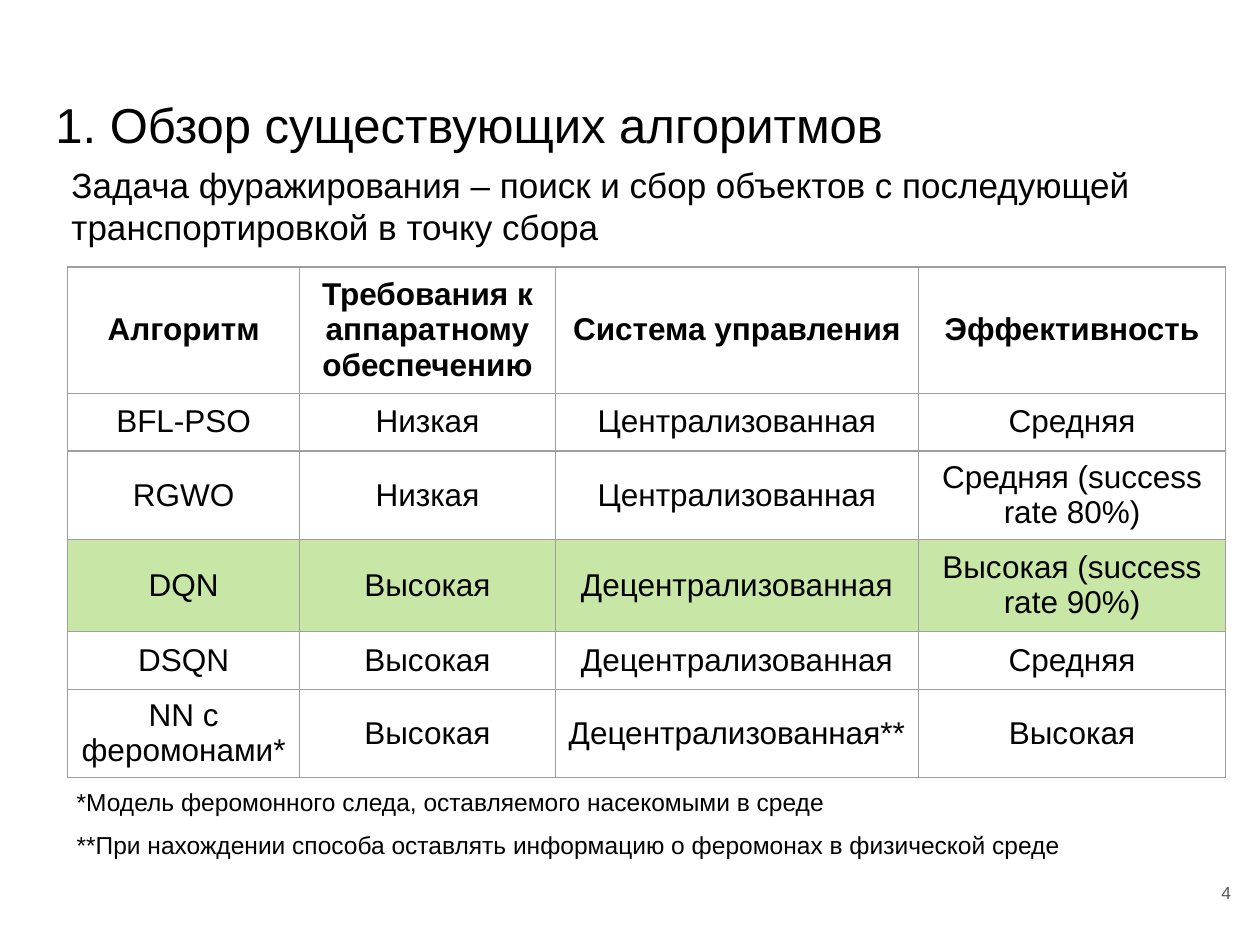
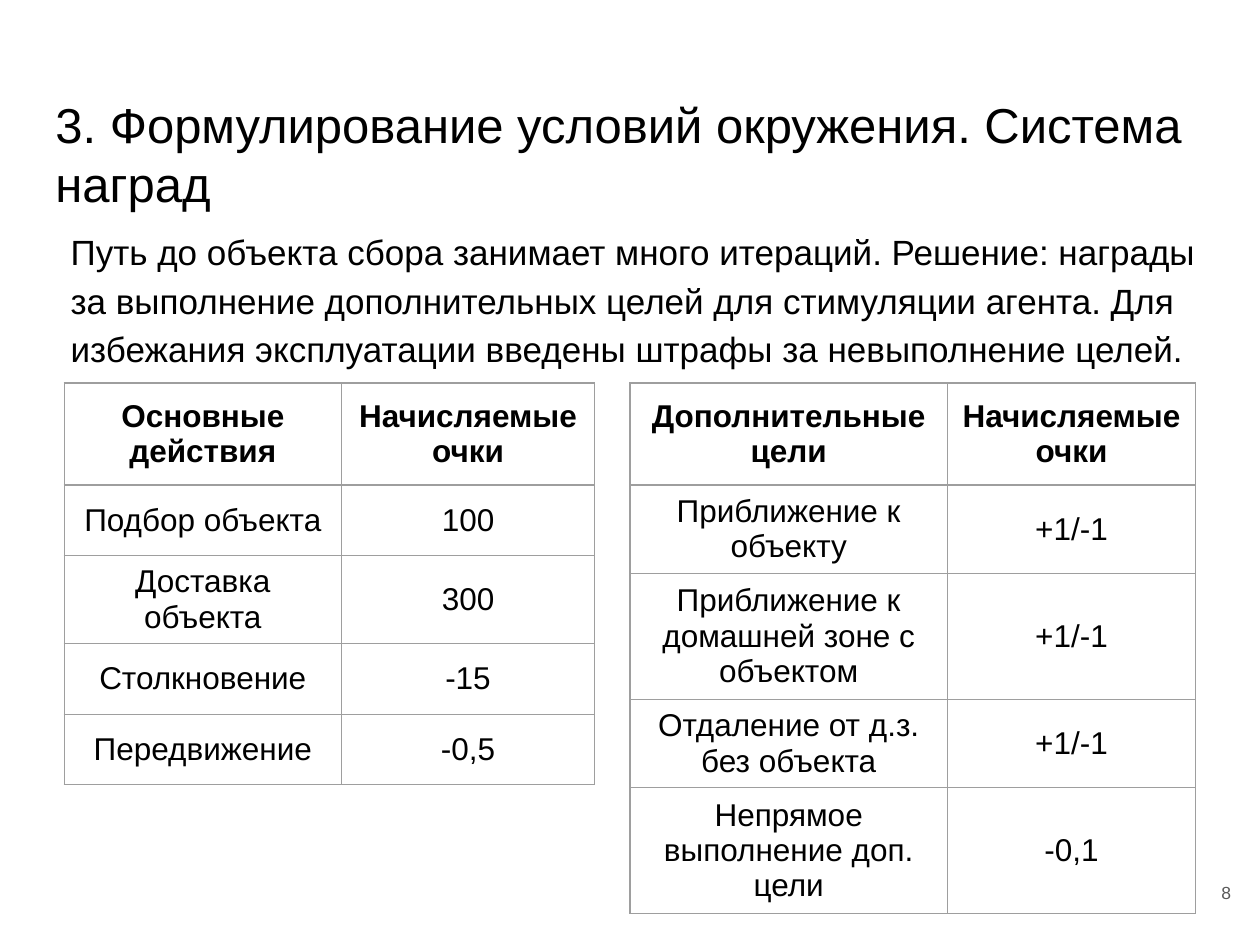
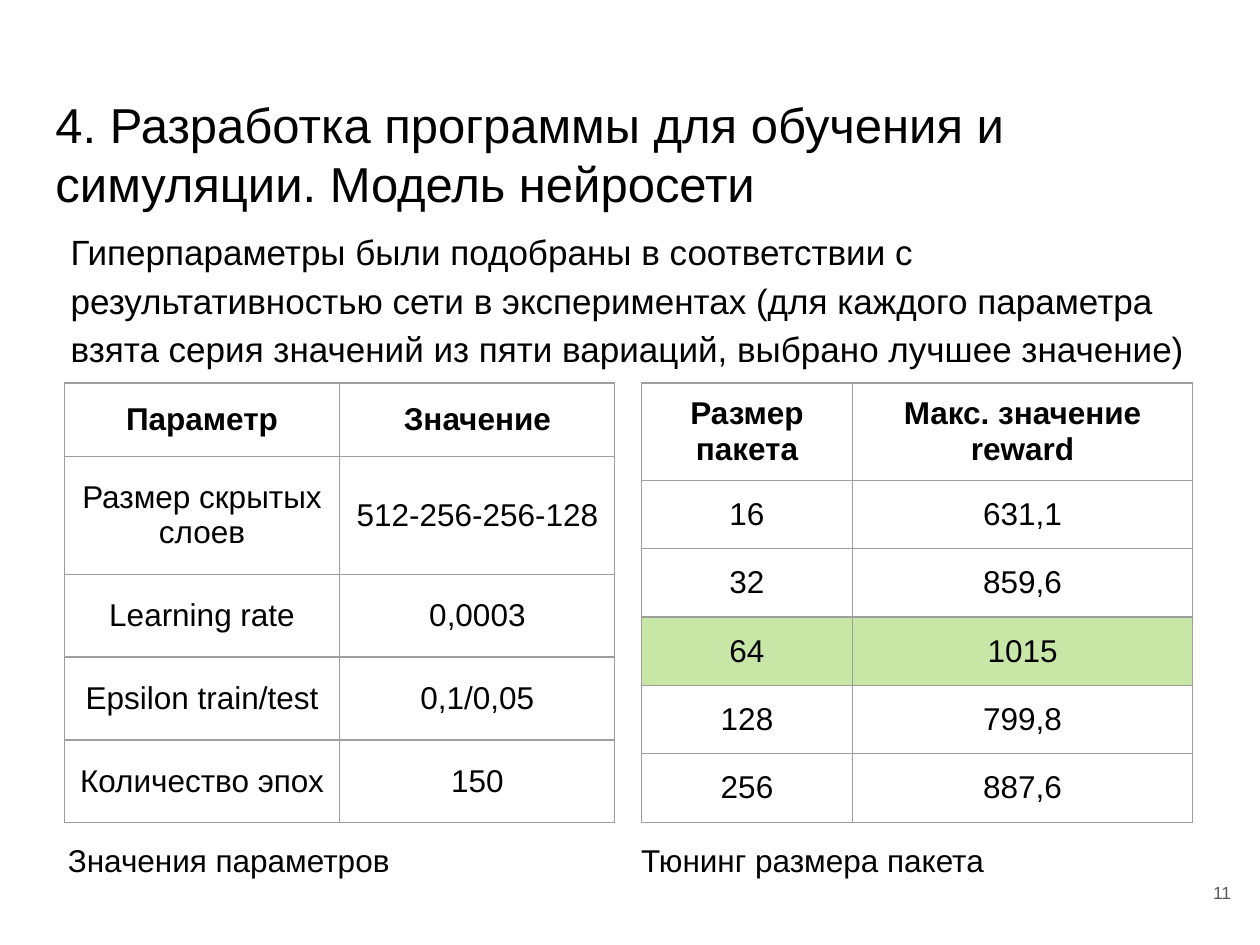
"""Builds three slides on foraging algorithms, rewards and hyperparameters."""
from lxml import etree
from pptx import Presentation
from pptx.dml import color as dml
from pptx.enum import text as t
from pptx.oxml import ns
from pptx.util import Pt

COLOURS = {"text": "000000", "number": "595959", "border": "9E9E9E", "accent": "92D050"}
FONT = "Arial"
TITLE_ONLY, TITLE_AND_BODY = 5, 1
TITLE_BOX = (24.5, 46.8, 671, 59.8)
BODY_BOX = (24.5, 121, 671, 358.6)
NUMBER_BOX = (667.4, 489.6, 43.2, 41)
TABLE_TOP = 218.9
WIDE = {"margin_left": Pt(7.2), "margin_right": Pt(7.2),
        "margin_top": Pt(7.2), "margin_bottom": Pt(7.2)}


def assign(target, values):
    """Set each named attribute of the target."""
    for name, value in values.items():
        setattr(target, name, value)


class SlideBuilder:
    """Holds the style and the current slide."""

    def __init__(self, deck):
        """Start with a deck and no page."""
        self.deck = deck
        self.page = None

    def start(self, layout, title, number):
        """Add a page with its title and number."""
        self.page = self.deck.slides.add_slide(self.deck.slide_layouts[layout])
        self.fill_placeholder(self.page.shapes.title, TITLE_BOX, title, 28)
        self.text(NUMBER_BOX, number, 10, colour="number", align=t.PP_ALIGN.RIGHT,
                  frame={**WIDE, "vertical_anchor": t.MSO_ANCHOR.MIDDLE})

    def paragraph(self, frame, words, size, colour="text", bold=False,
                  align=t.PP_ALIGN.LEFT, spacing=1.0, indent=0):
        """Put one formatted paragraph into a text frame."""
        para = frame.paragraphs[0]
        assign(para, {"alignment": align, "line_spacing": spacing,
                      "space_before": Pt(0), "space_after": Pt(0)})
        properties = para._p.get_or_add_pPr()
        properties.set("marL", str(Pt(indent)))
        properties.set("indent", "0")
        span = para.add_run()
        span.text = words
        assign(span.font, {"name": FONT, "size": Pt(size), "bold": bold})
        span.font.color.rgb = dml.RGBColor.from_string(COLOURS[colour])

    def fill_placeholder(self, box, place, words, size, **style):
        """Move a placeholder and give it plain text without a bullet."""
        assign(box, dict(zip(("left", "top", "width", "height"), map(Pt, place))))
        assign(box.text_frame, {**WIDE, "word_wrap": True,
                                "auto_size": t.MSO_AUTO_SIZE.NONE,
                                "vertical_anchor": t.MSO_ANCHOR.TOP})
        self.paragraph(box.text_frame, words, size, **style)
        properties = box.text_frame.paragraphs[0]._p.get_or_add_pPr()
        etree.SubElement(properties, ns.qn("a:buNone"))

    def body(self, words):
        """Put the introductory text in the body placeholder."""
        self.fill_placeholder(self.page.placeholders[1], BODY_BOX, words, 20,
                              spacing=1.15, indent=8.64)

    def text(self, place, words, size, frame=None, **style):
        """Add a wrapped text box."""
        box = self.page.shapes.add_textbox(*map(Pt, place))
        assign(box.text_frame, {"word_wrap": True, **(frame or {})})
        self.paragraph(box.text_frame, words, size, **style)

    def border(self, cell):
        """Draw a thin line on all four sides of a cell."""
        properties = cell._tc.get_or_add_tcPr()
        for index, side in enumerate(("lnL", "lnR", "lnT", "lnB")):
            line = etree.Element(ns.qn(f"a:{side}"), w=str(Pt(0.75)))
            fill = etree.SubElement(line, ns.qn("a:solidFill"))
            etree.SubElement(fill, ns.qn("a:srgbClr"), val=COLOURS["border"])
            properties.insert(index, line)

    def highlight(self, cell):
        """Fill a cell with the half-transparent accent colour."""
        cell.fill.solid()
        cell.fill.fore_color.rgb = dml.RGBColor.from_string(COLOURS["accent"])
        colour = cell._tc.tcPr.find(".//" + ns.qn("a:srgbClr"))
        etree.SubElement(colour, ns.qn("a:alpha"), val="50000")

    def table(self, left, top, widths, heights, rows, marked=None):
        """Add a bordered table with a bold header and an optional marked row."""
        grid = self.page.shapes.add_table(
            len(rows), len(widths), Pt(left), Pt(top),
            Pt(sum(widths)), Pt(sum(heights))).table
        assign(grid, {"first_row": False, "horz_banding": False})
        for column, width in zip(grid.columns, widths):
            column.width = Pt(width)
        for index, (height, values) in enumerate(zip(heights, rows)):
            grid.rows[index].height = Pt(height)
            for cell, words in zip(grid.rows[index].cells, values):
                cell.vertical_anchor = t.MSO_ANCHOR.MIDDLE
                self.paragraph(cell.text_frame, words, 18, bold=index == 0,
                               align=t.PP_ALIGN.CENTER)
                if index == marked:
                    self.highlight(cell)
                else:
                    cell.fill.background()
                self.border(cell)


def add_algorithms(builder):
    """Compare the existing algorithms."""
    builder.start(TITLE_ONLY, "1. Обзор существующих алгоритмов", "4")
    builder.table(38.7, 152.6, [132.5, 146.2, 207.4, 175.7],
                  [67.7, 33.1, 47.5, 52.6, 33.1, 47.5], [
        ("Алгоритм", "Требования к аппаратному обеспечению",
         "Система управления", "Эффективность"),
        ("BFL-PSO", "Низкая", "Централизованная", "Средняя"),
        ("RGWO", "Низкая", "Централизованная", "Средняя (success rate 80%)"),
        ("DQN", "Высокая", "Децентрализованная", "Высокая (success rate 90%)"),
        ("DSQN", "Высокая", "Децентрализованная", "Средняя"),
        ("NN с феромонами*", "Высокая", "Децентрализованная**", "Высокая"),
    ], marked=3)
    builder.text((33.8, 90, 652.3, 55.4), "Задача фуражирования – поиск и сбор объектов "
                 "с последующей транспортировкой в точку сбора", 20)
    notes = ("*Модель феромонного следа, оставляемого насекомыми в среде",
             "**При нахождении способа оставлять информацию о феромонах в физической среде")
    for index, note in enumerate(notes):
        builder.text((36.7, 446.4 + 24.5 * index, 652.3, 24.5), note, 14)


def add_rewards(builder):
    """Show the reward system."""
    builder.start(TITLE_AND_BODY, "3. Формулирование условий окружения. Система наград", "8")
    builder.body("Путь до объекта сбора занимает много итераций. Решение: награды за "
                 "выполнение дополнительных целей для стимуляции агента. Для избежания "
                 "эксплуатации введены штрафы за невыполнение целей.")
    heights = [58.3] + [40.3] * 4
    builder.table(36.7, TABLE_TOP, [158.4, 144.7], heights, [
        ("Основные действия", "Начисляемые очки"),
        ("Подбор объекта", "100"),
        ("Доставка объекта", "300"),
        ("Столкновение", "-15"),
        ("Передвижение", "-0,5"),
    ])
    builder.table(360, TABLE_TOP, [181.4, 141.8], heights, [
        ("Дополнительные цели", "Начисляемые очки"),
        ("Приближение к объекту", "+1/-1"),
        ("Приближение к домашней зоне с объектом", "+1/-1"),
        ("Отдаление от д.з. без объекта", "+1/-1"),
        ("Непрямое выполнение доп. цели", "-0,1"),
    ])


def add_network(builder):
    """Show the hyperparameters and the batch size tuning."""
    builder.start(TITLE_AND_BODY, "4. Разработка программы для обучения и симуляции. "
                  "Модель нейросети", "11")
    builder.body("Гиперпараметры были подобраны в соответствии с результативностью сети "
                 "в экспериментах (для каждого параметра взята серия значений из пяти "
                 "вариаций, выбрано лучшее значение)")
    builder.table(36.7, TABLE_TOP, [157.5, 157.2], [41.8, 67.4] + [47.4] * 3, [
        ("Параметр", "Значение"),
        ("Размер скрытых слоев", "512-256-256-128"),
        ("Learning rate", "0,0003"),
        ("Epsilon train/test", "0,1/0,05"),
        ("Количество эпох", "150"),
    ])
    builder.table(366.5, TABLE_TOP, [120.7, 194.3], [55.5] + [39.1] * 5, [
        ("Размер пакета", "Макс. значение reward"),
        ("16", "631,1"),
        ("32", "859,6"),
        ("64", "1015"),
        ("128", "799,8"),
        ("256", "887,6"),
    ], marked=3)
    for left, caption in ((20.9, "Значения параметров"), (348.5, "Тюнинг размера пакета")):
        builder.text((left, 470.2, 326.9, 36.7), caption, 18, frame=WIDE,
                     spacing=1.15, indent=10.8)


def main():
    """Build and save the deck."""
    deck = Presentation()
    assign(deck, {"slide_width": Pt(720), "slide_height": Pt(540)})
    builder = SlideBuilder(deck)
    for add_page in (add_algorithms, add_rewards, add_network):
        add_page(builder)
    deck.save("out.pptx")


if __name__ == "__main__":
    main()
